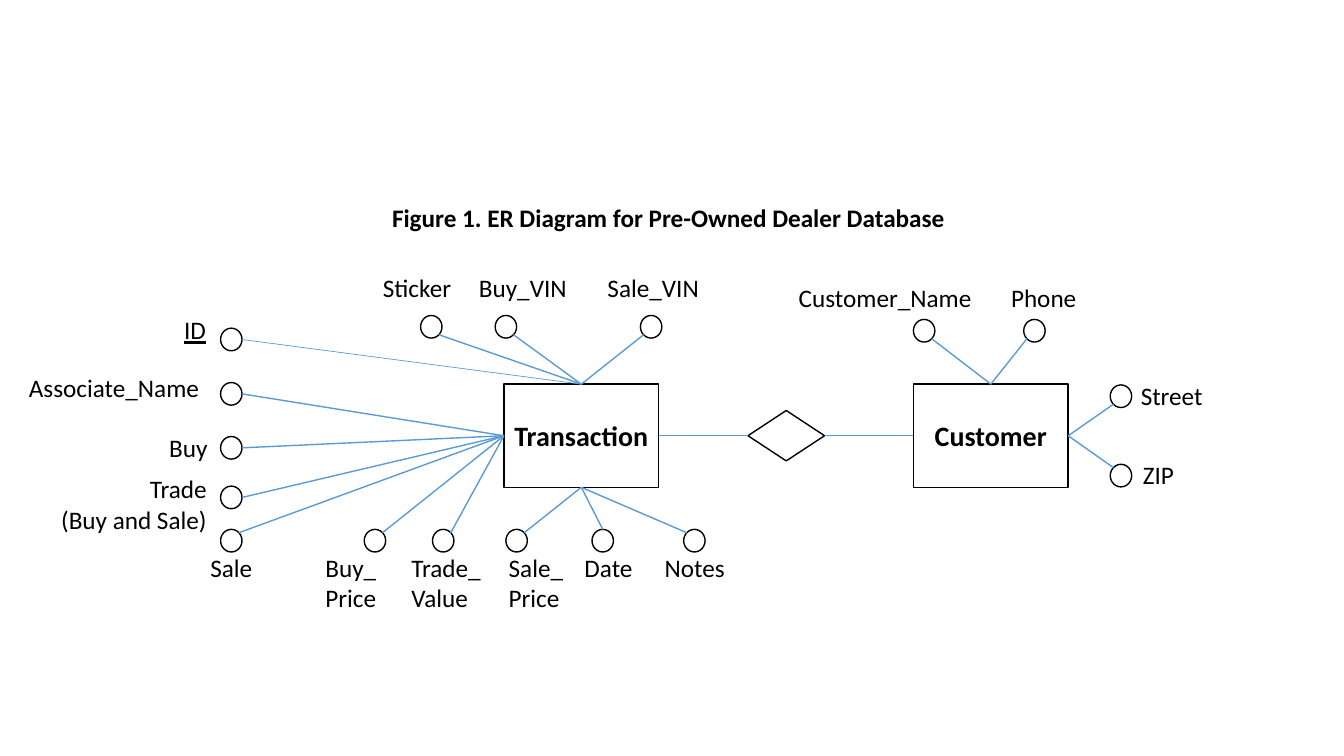
from lxml import etree
from pptx import Presentation
from pptx.dml.color import RGBColor
from pptx.enum.shapes import MSO_CONNECTOR, MSO_SHAPE
from pptx.enum.text import MSO_ANCHOR, PP_ALIGN
from pptx.oxml.ns import qn
from pptx.util import Cm, Pt

STRAIGHT = MSO_CONNECTOR.STRAIGHT
RECTANGLE, DIAMOND, OVAL = MSO_SHAPE.RECTANGLE, MSO_SHAPE.DIAMOND, MSO_SHAPE.OVAL
MIDDLE = MSO_ANCHOR.MIDDLE
LEFT, CENTER, RIGHT = PP_ALIGN.LEFT, PP_ALIGN.CENTER, PP_ALIGN.RIGHT

BLACK, BLUE = "000000", "5B9BD5"
ENTITY_W, ENTITY_H, ENTITY_TOP = 3.9, 2.6, 9.68
DIAMOND_W, DIAMOND_H = 1.93, 1.27
CIRCLE_W, CIRCLE_H = 0.54, 0.57
LEFT_X, RIGHT_X = 5.56, 27.98
TOP_Y, CUSTOMER_Y, BOTTOM_Y = 7.95, 8.05, 13.34
TOP_LABEL, CUSTOMER_LABEL, BOTTOM_LABEL = 6.73, 6.98, 13.79
# Connection sites of a rectangle or diamond
TOP, WEST, BOTTOM, EAST = range(4)
# Points on a circle, as fractions of its width and height
ON_TOP, ON_RIGHT = (0.5, 0), (1, 0.5)
ON_NW, ON_NE, ON_SW, ON_SE = (0.15, 0.15), (0.85, 0.15), (0.15, 0.85), (0.85, 0.85)


def color(hex_string):
    """Turn a hex string into a colour."""
    return RGBColor.from_string(hex_string)


def write(shape, text, size, align=LEFT, bold=False, underline=None):
    """Put unwrapped black text into a shape, one paragraph per line."""
    frame = shape.text_frame
    frame.text = text
    frame.word_wrap = False
    for paragraph in frame.paragraphs:
        paragraph.alignment = align
        font = paragraph.font
        font.name, font.size, font.bold = "Calibri", Pt(size), bold
        font.underline = underline
        font.color.rgb = color(BLACK)


prs = Presentation()
prs.slide_width, prs.slide_height = Cm(33.87), Cm(19.05)
shapes = prs.slides.add_slide(prs.slide_layouts[6]).shapes

caption = shapes.add_textbox(Cm(9.63), Cm(4.98), Cm(14.55), Cm(1.02))
write(caption, "Figure 1. ER Diagram for Pre-Owned Dealer Database", 18, bold=True)

# Entities and the relationship between them
middle_y = ENTITY_TOP + ENTITY_H / 2
transaction = shapes.add_shape(
    RECTANGLE, Cm(12.7), Cm(ENTITY_TOP), Cm(ENTITY_W), Cm(ENTITY_H))
customer = shapes.add_shape(
    RECTANGLE, Cm(23.02), Cm(ENTITY_TOP), Cm(ENTITY_W), Cm(ENTITY_H))
relationship = shapes.add_shape(
    DIAMOND, Cm(18.85), Cm(middle_y - DIAMOND_H / 2), Cm(DIAMOND_W), Cm(DIAMOND_H))
for entity, name in ((transaction, "Transaction"), (customer, "Customer")):
    write(entity, name, 20, CENTER, bold=True)
    entity.text_frame.vertical_anchor = MIDDLE

outlined = [transaction, relationship, customer]
links = []
for start, end in ((transaction, relationship), (relationship, customer)):
    link = shapes.add_connector(STRAIGHT, 0, 0, 0, 0)
    link.begin_connect(start, EAST)
    link.end_connect(end, WEST)
    links.append((link, 1))

# Attribute, label (left, top, width), alignment, circle (left, top),
# entity, site on the entity, point on the circle
attributes = [
    ("ID", (4.39, 7.8, 1.07), LEFT, (LEFT_X, 8.27), transaction, TOP, ON_RIGHT),
    ("Associate_Name", (0.48, 9.25, 4.98), LEFT, (LEFT_X, 9.64),
     transaction, WEST, ON_RIGHT),
    ("Buy", (3.98, 10.77, 1.5), RIGHT, (LEFT_X, 11), transaction, WEST, ON_RIGHT),
    ("Trade\n(Buy and Sale)", (1.24, 11.81, 4.22), RIGHT, (LEFT_X, 12.25),
     transaction, WEST, ON_RIGHT),
    ("Sale", (5.03, BOTTOM_LABEL, 1.58), RIGHT, (LEFT_X, BOTTOM_Y),
     transaction, WEST, ON_NE),
    ("Buy_\nPrice", (7.95, BOTTOM_LABEL, 1.8), LEFT, (9.18, BOTTOM_Y),
     transaction, WEST, ON_NE),
    ("Trade_\nValue", (10.12, BOTTOM_LABEL, 2.28), LEFT, (10.9, BOTTOM_Y),
     transaction, WEST, ON_NE),
    ("Sale_\nPrice", (12.57, BOTTOM_LABEL, 1.9), LEFT, (12.75, BOTTOM_Y),
     transaction, BOTTOM, ON_NE),
    ("Date", (14.48, BOTTOM_LABEL, 1.73), LEFT, (14.92, BOTTOM_Y),
     transaction, BOTTOM, ON_TOP),
    ("Notes", (16.5, BOTTOM_LABEL, 2.03), LEFT, (17.23, BOTTOM_Y),
     transaction, BOTTOM, ON_NW),
    ("Sticker", (9.4, TOP_LABEL, 2.26), LEFT, (10.6, TOP_Y), transaction, TOP, ON_SE),
    ("Buy_VIN", (11.82, TOP_LABEL, 2.74), LEFT, (12.48, TOP_Y),
     transaction, TOP, ON_SE),
    ("Sale_VIN", (15.06, TOP_LABEL, 2.84), LEFT, (16.14, TOP_Y),
     transaction, TOP, ON_SW),
    ("Customer_Name", (19.88, CUSTOMER_LABEL, 4.9), LEFT, (23.02, CUSTOMER_Y),
     customer, TOP, ON_SE),
    ("Phone", (25.23, CUSTOMER_LABEL, 2.18), LEFT, (25.8, CUSTOMER_Y),
     customer, TOP, ON_SW),
    ("Street", (28.5, 9.45, 2.08), LEFT, (RIGHT_X, 9.7), customer, EAST, ON_SW),
    ("ZIP", (28.55, 11.46, 1.3), LEFT, (RIGHT_X, 11.7), customer, EAST, ON_NW),
]
for name, (left, top, width), align, (x, y), entity, site, (fx, fy) in attributes:
    is_key = name == "ID"
    label_height = 1.8 if "\n" in name else 1.02
    label = shapes.add_textbox(Cm(left), Cm(top), Cm(width), Cm(label_height))
    write(label, name, 18, align, underline=is_key)
    outlined.append(shapes.add_shape(OVAL, Cm(x), Cm(y), Cm(CIRCLE_W), Cm(CIRCLE_H)))
    link = shapes.add_connector(
        STRAIGHT, 0, 0, Cm(x + fx * CIRCLE_W), Cm(y + fy * CIRCLE_H))
    link.begin_connect(entity, site)
    links.append((link, 0.5 if is_key else 1))

for shape in outlined:
    shape.shadow.inherit = False
    shape.fill.background()
    shape.line.color.rgb = color(BLACK)
    shape.line.width = Pt(1)
for link, weight in links:
    link.line.color.rgb = color(BLUE)
    link.line.width = Pt(weight)
    etree.SubElement(link._element.spPr, qn("a:effectLst"))

prs.save("out.pptx")
